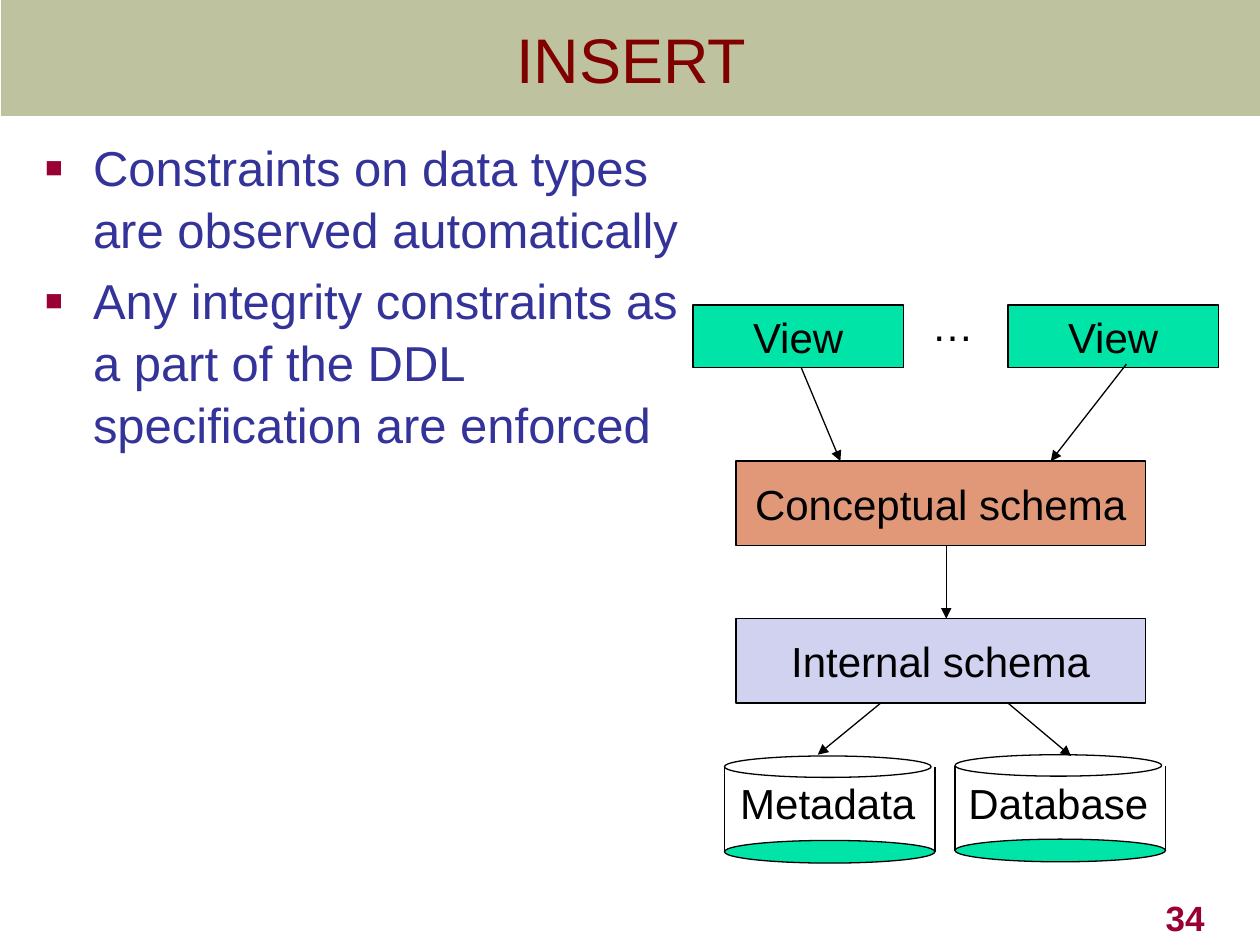
from dataclasses import dataclass

from lxml import etree
from pptx import Presentation
from pptx.dml.color import RGBColor
from pptx.enum import shapes, text
from pptx.oxml import ns
from pptx.util import Inches, Pt

BLACK = RGBColor(0, 0, 0)
WHITE = RGBColor(0xFF, 0xFF, 0xFF)
OLIVE = RGBColor(0x6E, 0x75, 0x24)
MAROON = RGBColor(0x80, 0, 0)
CRIMSON = RGBColor(0x99, 0, 0x33)
INDIGO = RGBColor(0x33, 0x33, 0x99)
GREEN = RGBColor(0, 0xE4, 0xA8)
ORANGE = RGBColor(0xE0, 0x98, 0x79)
LAVENDER = RGBColor(0xD1, 0xD1, 0xF0)

LABEL = {"name": "Arial", "size": Pt(24), "bold": False}
HEADING = {**LABEL, "size": Pt(36)}
BODY = {**LABEL, "size": Pt(28)}
NUMBER = {**LABEL, "size": Pt(20), "bold": True}
CENTER = text.PP_ALIGN.CENTER
MIDDLE = text.MSO_ANCHOR.MIDDLE


@dataclass
class Level:
    caption: str
    left: float
    top: float
    width: float
    height: float
    fill: RGBColor


@dataclass
class Arrow:
    start: tuple[float, float]
    end: tuple[float, float]


@dataclass
class Store:
    caption: str
    left: float
    top: float


LEVELS = [
    Level("View", 8, 2.42, 1.67, 0.5, GREEN),
    Level("View", 5.5, 2.42, 1.67, 0.5, GREEN),
    Level("Internal schema", 5.84, 4.91, 3.25, 0.67, LAVENDER),
    Level("Conceptual schema", 5.84, 3.66, 3.25, 0.67, ORANGE),
]
ARROWS = [
    Arrow((8.94, 2.89), (8.34, 3.66)),
    Arrow((6.36, 2.92), (6.67, 3.66)),
    Arrow((7.51, 4.33), (7.51, 4.91)),
    Arrow((6.99, 5.58), (6.49, 5.99)),
    Arrow((8, 5.58), (8.5, 6)),
]
STORES = [Store("Database", 7.58, 5.99), Store("Metadata", 5.75, 6)]
POINTS = [
    "Constraints on data types are observed automatically",
    "Any integrity constraints as a part of the DDL specification are enforced",
]


def add_child(parent, tag: str, **attributes: str):
    child = etree.SubElement(parent, ns.qn(tag))
    for key, value in attributes.items():
        child.set(key, value)
    return child


def write(paragraph, words: str, style: dict, color: RGBColor, align=None) -> None:
    run = paragraph.add_run()
    run.text = words
    for key, value in style.items():
        setattr(run.font, key, value)
    run.font.color.rgb = color
    paragraph.alignment = align


def set_frame(frame, **settings) -> None:
    for key, value in settings.items():
        setattr(frame, key, value)


def add_outlined(slide, kind, left: float, top: float, width: float, height: float,
                 fill: RGBColor):
    shape = slide.shapes.add_shape(kind, *map(Inches, (left, top, width, height)))
    shape.shadow.inherit = False
    shape.fill.solid()
    shape.fill.fore_color.rgb = fill
    shape.line.color.rgb = BLACK
    shape.line.width = Pt(0.75)
    return shape


def add_line(slide, start: tuple, end: tuple, arrowhead: bool = False) -> None:
    line = slide.shapes.add_connector(
        shapes.MSO_CONNECTOR.STRAIGHT, *map(Inches, (*start, *end)))
    line.line.color.rgb = BLACK
    line.line.width = Pt(0.75)
    if arrowhead:
        add_child(line.line._get_or_add_ln(), "a:tailEnd", type="triangle")
    add_child(line._element.spPr, "a:effectLst")


def add_label(slide, words: str, left: float, top: float, width: float, height: float,
              style: dict = LABEL, color: RGBColor = BLACK, align=CENTER,
              anchor=text.MSO_ANCHOR.TOP) -> None:
    box = slide.shapes.add_textbox(*map(Inches, (left, top, width, height)))
    set_frame(box.text_frame, word_wrap=False, vertical_anchor=anchor)
    write(box.text_frame.paragraphs[0], words, style, color, align)


def add_level(slide, level: Level) -> None:
    box = add_outlined(slide, shapes.MSO_SHAPE.RECTANGLE, level.left, level.top,
                       level.width, level.height, level.fill)
    set_frame(box.text_frame, word_wrap=False, vertical_anchor=MIDDLE)
    write(box.text_frame.paragraphs[0], level.caption, LABEL, BLACK, CENTER)


def add_store(slide, store: Store) -> None:
    left, top, width = store.left, store.top, 1.67
    oval = shapes.MSO_SHAPE.OVAL
    add_outlined(slide, oval, left, top + 0.67, width, 0.18, GREEN)
    add_outlined(slide, oval, left, top, 1.64, 0.17, WHITE)
    for side in (left, left + width):
        add_line(slide, (side, top + 0.09), (side, top + 0.76))
    add_label(slide, store.caption, left, 6.12, 1.64, 0.5)


def add_title(slide, words: str) -> None:
    title = slide.shapes.title
    place = {"left": 0.01, "top": 0, "width": 10, "height": 0.92}
    for key, value in place.items():
        setattr(title, key, Inches(value))
    title.fill.solid()
    title.fill.fore_color.rgb = OLIVE
    tint = title._element.spPr.find(".//" + ns.qn("a:srgbClr"))
    add_child(tint, "a:alpha", val="44000")
    set_frame(title.text_frame, vertical_anchor=MIDDLE, word_wrap=True)
    write(title.text_frame.paragraphs[0], words, HEADING, MAROON, CENTER)


def add_points(slide, points: list[str]) -> None:
    box = slide.shapes.add_textbox(*map(Inches, (0.26, 1.02, 5.22, 6.23)))
    frame = box.text_frame
    set_frame(frame, word_wrap=True, margin_right=0)
    for index, point in enumerate(points):
        paragraph = frame.add_paragraph() if index else frame.paragraphs[0]
        properties = paragraph._p.get_or_add_pPr()
        properties.set("marL", str(Inches(0.38)))
        properties.set("indent", str(-Inches(0.38)))
        bullet_color = add_child(properties, "a:buClr")
        add_child(bullet_color, "a:srgbClr", val=str(CRIMSON))
        add_child(properties, "a:buSzPct", val="60000")
        add_child(properties, "a:buFont", typeface="Arial")
        add_child(properties, "a:buChar", char="■")
        paragraph.line_spacing = 1.05
        paragraph.space_before = Pt(5.6 if index else 0)
        write(paragraph, point, BODY, INDIGO)


def main() -> None:
    deck = Presentation()
    deck.slide_width, deck.slide_height = Inches(10), Inches(7.5)
    slide = deck.slides.add_slide(deck.slide_layouts[5])
    add_title(slide, "INSERT")
    add_points(slide, POINTS)
    add_label(slide, "34", 7.58, 7, 2.08, 0.5, NUMBER, CRIMSON,
              text.PP_ALIGN.RIGHT, text.MSO_ANCHOR.BOTTOM)
    for level in LEVELS:
        add_level(slide, level)
    add_label(slide, "…", 7.29, 2.33, 0.54, 0.5)
    for store in STORES:
        add_store(slide, store)
    for arrow in ARROWS:
        add_line(slide, arrow.start, arrow.end, arrowhead=True)
    deck.save("out.pptx")


if __name__ == "__main__":
    main()
